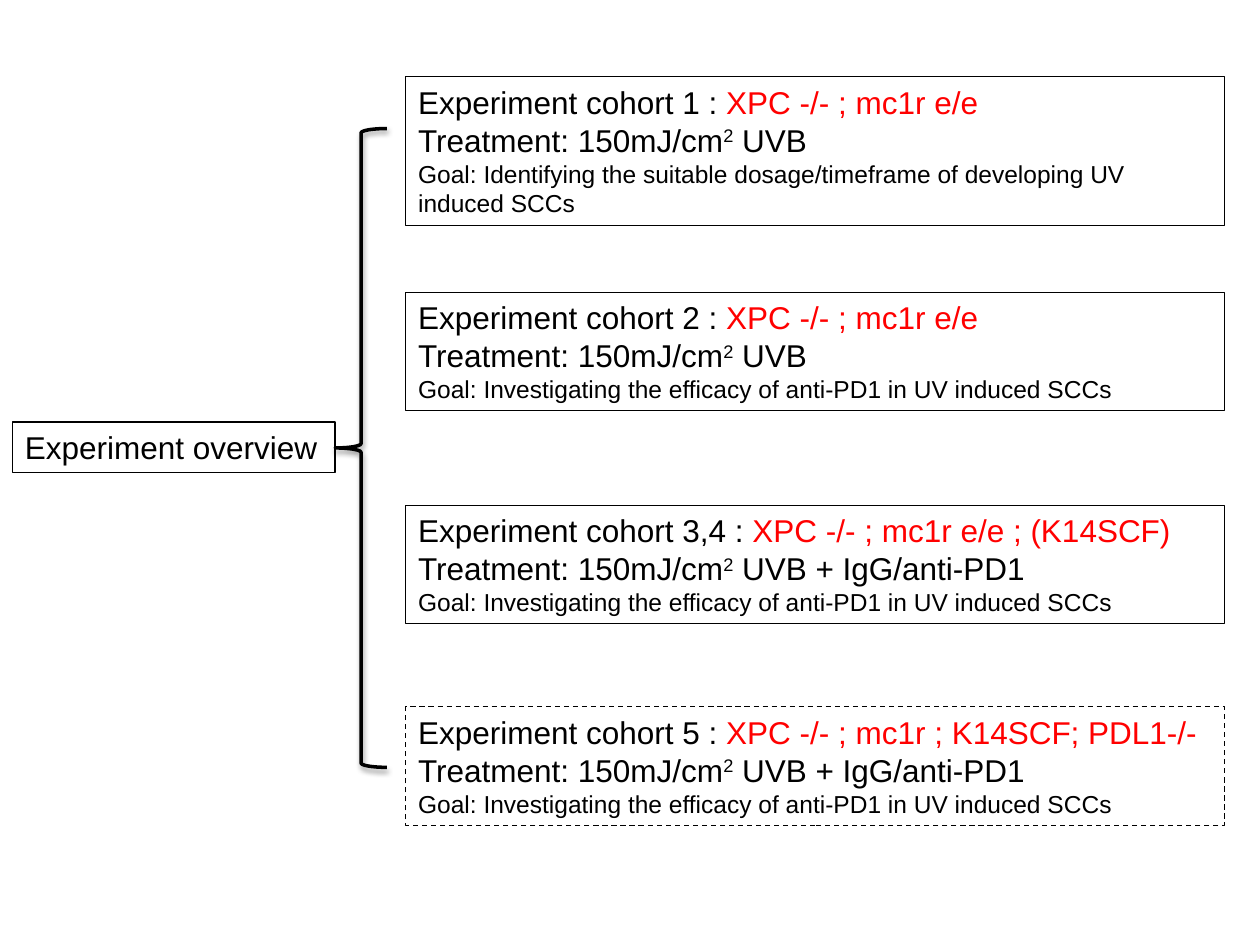
from lxml import etree
from pptx import Presentation
from pptx import util as u
from pptx.dml.color import RGBColor
from pptx.enum import dml, shapes, text
from pptx.oxml.ns import qn

BLACK, RED = "000000", "FF0000"
HEADING, DETAIL = 18, 14
COLUMNS, ROWS = 100, 75


def colour(value):
    return RGBColor.from_string(value)


class Board:
    font = "Arial"

    def __init__(self, deck):
        self.deck = deck
        self.slide = deck.slides.add_slide(deck.slide_layouts[6])

    def place(self, column, row, columns, rows):
        cell_width = self.deck.slide_width / COLUMNS
        cell_height = self.deck.slide_height / ROWS
        return [u.Emu(round(share * cell)) for share, cell in
                zip((column, row, columns, rows), (cell_width, cell_height) * 2)]

    def outline(self, item, width, dashed=False):
        item.line.color.rgb = colour(BLACK)
        item.line.width = u.Pt(width)
        if dashed:
            item.line.dash_style = dml.MSO_LINE.DASH

    def box(self, area, lines, wrap=True, dashed=False):
        label = self.slide.shapes.add_textbox(*self.place(*area))
        self.outline(label, 0.75, dashed)
        frame = label.text_frame
        layout = {"word_wrap": wrap, "auto_size": text.MSO_AUTO_SIZE.SHAPE_TO_FIT_TEXT}
        for name, value in layout.items():
            setattr(frame, name, value)
        for index, line in enumerate(lines):
            paragraph = frame.add_paragraph() if index else frame.paragraphs[0]
            for piece in line:
                self.add_words(paragraph, *piece)

    def add_words(self, paragraph, words, size=HEADING, ink=BLACK, raised=False):
        run = paragraph.add_run()
        run.text = words
        for name, value in {"name": self.font, "size": u.Pt(size)}.items():
            setattr(run.font, name, value)
        run.font.color.rgb = colour(ink)
        if raised:
            run.font._element.set("baseline", "30000")

    def brace(self, area):
        bracket = self.slide.shapes.add_shape(shapes.MSO_SHAPE.RIGHT_BRACE, *self.place(*area))
        bracket.rotation = 180
        bracket.fill.background()
        self.outline(bracket, 2)
        bracket.shadow.inherit = False
        effects = bracket._element.spPr.find(qn("a:effectLst"))
        shadow = etree.SubElement(effects, qn("a:outerShdw"), blurRad=str(u.Pt(3.1)),
                                  dist=str(u.Pt(1.6)), dir="5400000", rotWithShape="0")
        tint = etree.SubElement(shadow, qn("a:srgbClr"), val=BLACK)
        etree.SubElement(tint, qn("a:alpha"), val="38000")

    def cohort(self, row, rows, number, genotype, treatment, goal, dashed=False):
        lines = [
            [(f"Experiment cohort {number} : ",), (genotype, HEADING, RED)],
            [("Treatment: 150mJ/cm",), ("2", HEADING, BLACK, True), (treatment,)],
            [(f"Goal: {goal}", DETAIL)],
        ]
        self.box((32.2, row, 65, rows), lines, dashed=dashed)


def main():
    deck = Presentation()
    deck.slide_width, deck.slide_height = u.Inches(10), u.Inches(7.5)
    board = Board(deck)
    board.box((1, 33.5, 25.6, 4), [[("Experiment overview",)]], wrap=False)
    board.brace((26.6, 10.2, 4.1, 50.7))

    dosage = "Identifying the suitable dosage/timeframe of developing UV induced SCCs"
    efficacy = "Investigating the efficacy of anti-PD1 in UV induced SCCs"
    uvb, combined = " UVB", " UVB + IgG/anti-PD1"
    cohorts = [
        (6.1, 11.8, "1", "XPC -/- ; mc1r e/e", uvb, dosage),
        (23.2, 9.4, "2", "XPC -/- ; mc1r e/e", uvb, efficacy),
        (40.1, 9.4, "3,4", "XPC -/- ; mc1r e/e ; (K14SCF)", combined, efficacy),
        (56.1, 9.4, "5", "XPC -/- ; mc1r ; K14SCF; PDL1-/-", combined, efficacy, True),
    ]
    for details in cohorts:
        board.cohort(*details)
    deck.save("out.pptx")


if __name__ == "__main__":
    main()
